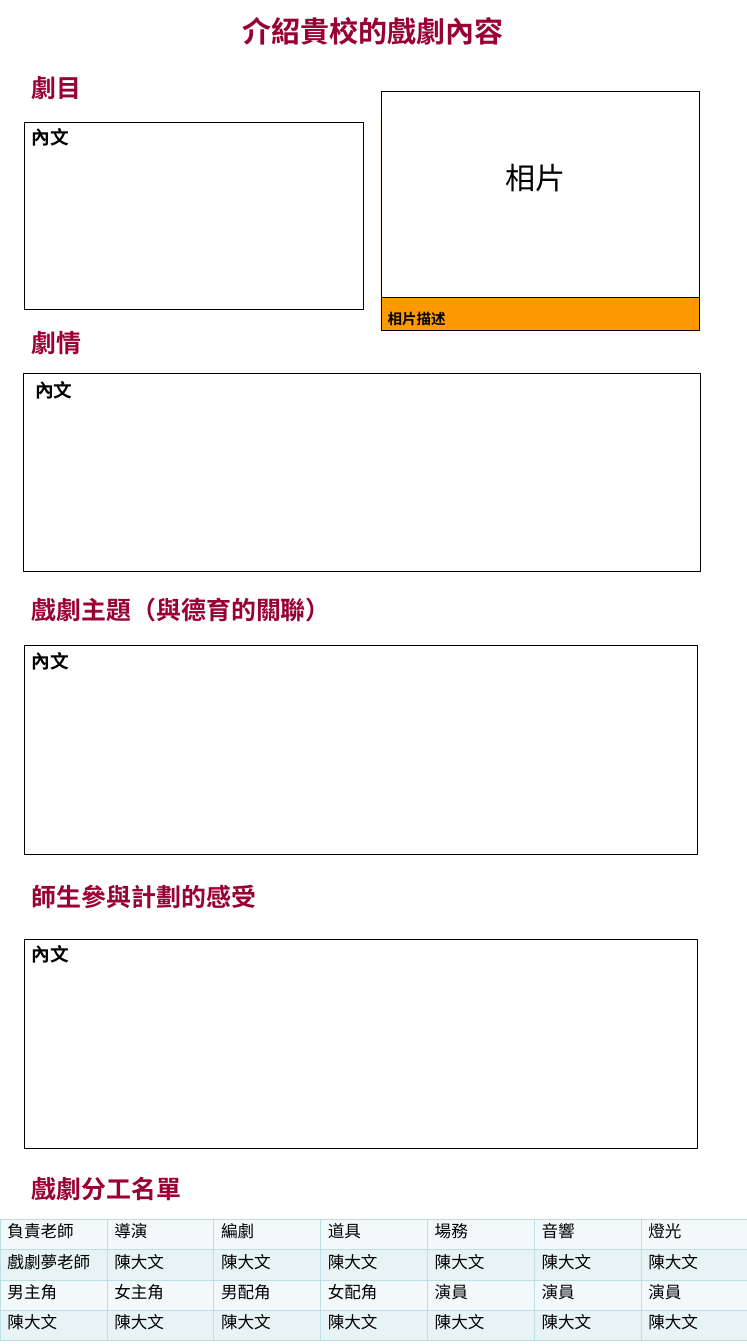
from lxml import etree
from pptx import Presentation, util as u
from pptx.dml.color import RGBColor
from pptx.enum import shapes, text
from pptx.oxml import ns

CRIMSON = RGBColor(0x99, 0x00, 0x33)
BLACK = RGBColor(0, 0, 0)
WHITE = RGBColor(0xFF, 0xFF, 0xFF)
ORANGE = RGBColor(0xFF, 0x99, 0x00)
BORDER = RGBColor(0xBB, 0xE0, 0xE3)
BANDS = RGBColor(0xF3, 0xF9, 0xFA), RGBColor(0xE7, 0xF3, 0xF4)
NOTO, ARIAL = "Noto Sans CJK SC", "Arial"
LEFT, CENTER, JUSTIFY = (text.PP_ALIGN.LEFT, text.PP_ALIGN.CENTER,
                         text.PP_ALIGN.JUSTIFY)

# The slide is a grid of 100 columns by 180 rows
WIDTH, HEIGHT = u.Inches(10), u.Inches(18)
COL, ROW = WIDTH / 100, HEIGHT / 180
MARGIN = 3.3

HEADINGS = [  # wording, row, columns wide, font
    ("劇目", 10, 9.5, NOTO),
    ("劇情", 44.1, 10.3, NOTO),
    ("戲劇主題（與德育的關聯）", 79.9, 65, NOTO),
    ("師生參與計劃的感受", 118.3, 39.3, ARIAL),
    ("戲劇分工名單", 157.5, 23, NOTO),
]
BODY_BOXES = [  # place on the grid, alignment, side and top insets, space before
    ((3.1, 50, 90.7, 26.5), JUSTIFY, 0.16, 0.08, 4.5),
    ((MARGIN, 125.8, 90, 28), JUSTIFY, 0.1, 0.05, 0),
    ((MARGIN, 16.4, 45.3, 25), LEFT, 0.1, 0.05, 0),
    ((MARGIN, 86.5, 90, 28), JUSTIFY, 0.1, 0.05, 0),
]
CREW = [
    ["負責老師", "導演", "編劇", "道具", "場務", "音響", "燈光"],
    ["戲劇夢老師"] + ["陳大文"] * 6,
    ["男主角", "女主角", "男配角", "女配角"] + ["演員"] * 3,
    ["陳大文"] * 7,
]


def on_grid(col, row, cols, rows):
    return [u.Emu(round(n)) for n in (col * COL, row * ROW, cols * COL, rows * ROW)]


def write(tf, words, size, color=BLACK, font=NOTO, bold=True, align=LEFT,
          spacing=None, before=0):
    p = tf.paragraphs[0]
    p.alignment, p.line_spacing = align, spacing
    p.space_before = u.Pt(before)
    r = p.add_run()
    r.text = words
    r.font.size, r.font.bold = u.Pt(size), bold
    r.font.color.rgb, r.font.name = color, font
    # East Asian typeface
    ea = etree.Element(ns.qn("a:ea"), typeface=font)
    r.font._element.find(ns.qn("a:latin")).addnext(ea)


def inset(tf, side, top):
    tf.margin_left = tf.margin_right = u.Inches(side)
    tf.margin_top = tf.margin_bottom = u.Inches(top)


def add_title(s, words):
    sp = s.shapes.title
    sp.left, sp.top, sp.width, sp.height = on_grid(7.5, 0.8, 85, 7.5)
    tf = sp.text_frame
    inset(tf, 0.16, 0.08)
    tf.vertical_anchor = text.MSO_ANCHOR.MIDDLE
    write(tf, words, 28, CRIMSON, align=CENTER, spacing=0.8)


def add_rect(parent, place, fill=None):
    sp = parent.add_shape(shapes.MSO_SHAPE.RECTANGLE, *on_grid(*place))
    sp.shadow.inherit = False
    if fill is None:
        sp.fill.background()
    else:
        sp.fill.solid()
        sp.fill.fore_color.rgb = fill
    sp.line.color.rgb, sp.line.width = BLACK, u.Pt(0.75)
    return sp


def add_body_box(s, place, align, side, top, before):
    tf = add_rect(s.shapes, place).text_frame
    tf.word_wrap = True
    tf.vertical_anchor = text.MSO_ANCHOR.TOP
    inset(tf, side, top)
    write(tf, "內文", 18, align=align, before=before)


def add_label(parent, place, words, size, **style):
    tf = parent.add_textbox(*on_grid(*place)).text_frame
    tf.word_wrap = True
    write(tf, words, size, **style)


def add_photo(s):
    group = s.shapes.add_group_shape().shapes
    add_rect(group, (51, 16, 42.6, 28.3), ORANGE)
    add_rect(group, (51, 12.3, 42.6, 27.6), WHITE)
    add_label(group, (60.5, 20.9, 22.3, 5.9), "相片", 29, bold=False, align=CENTER)
    add_label(group, (50.9, 41, 42.7, 3.4), "相片描述", 14)


def format_cell(cell, words, fill):
    cell.fill.solid()
    cell.fill.fore_color.rgb = fill
    write(cell.text_frame, words, 16, font=ARIAL, bold=False)
    # Borders come before the fill
    tc_pr = cell._tc.get_or_add_tcPr()
    for i, side in enumerate(("lnL", "lnR", "lnT", "lnB")):
        ln = etree.Element(ns.qn("a:" + side), w=str(u.Pt(0.45)))
        solid = etree.SubElement(ln, ns.qn("a:solidFill"))
        etree.SubElement(solid, ns.qn("a:srgbClr"), val=str(BORDER))
        tc_pr.insert(i, ln)


def add_crew_table(s):
    place = on_grid(0, 163.3, 100.1, 16.2)
    table = s.shapes.add_table(len(CREW), len(CREW[0]), *place).table
    for i, names in enumerate(CREW):
        for j, name in enumerate(names):
            format_cell(table.cell(i, j), name, BANDS[i % 2])


def main():
    prs = Presentation()
    prs.slide_width, prs.slide_height = WIDTH, HEIGHT
    s = prs.slides.add_slide(prs.slide_layouts[5])

    # Title and sections
    add_title(s, "介紹貴校的戲劇內容")
    for box in BODY_BOXES:
        add_body_box(s, *box)
    for words, row, cols, font in HEADINGS:
        add_label(s.shapes, (MARGIN, row, cols, 4.2), words, 24,
                  color=CRIMSON, font=font, spacing=0.8, before=6)

    # Crew list and photo
    add_crew_table(s)
    add_photo(s)
    prs.save("out.pptx")


if __name__ == "__main__":
    main()
